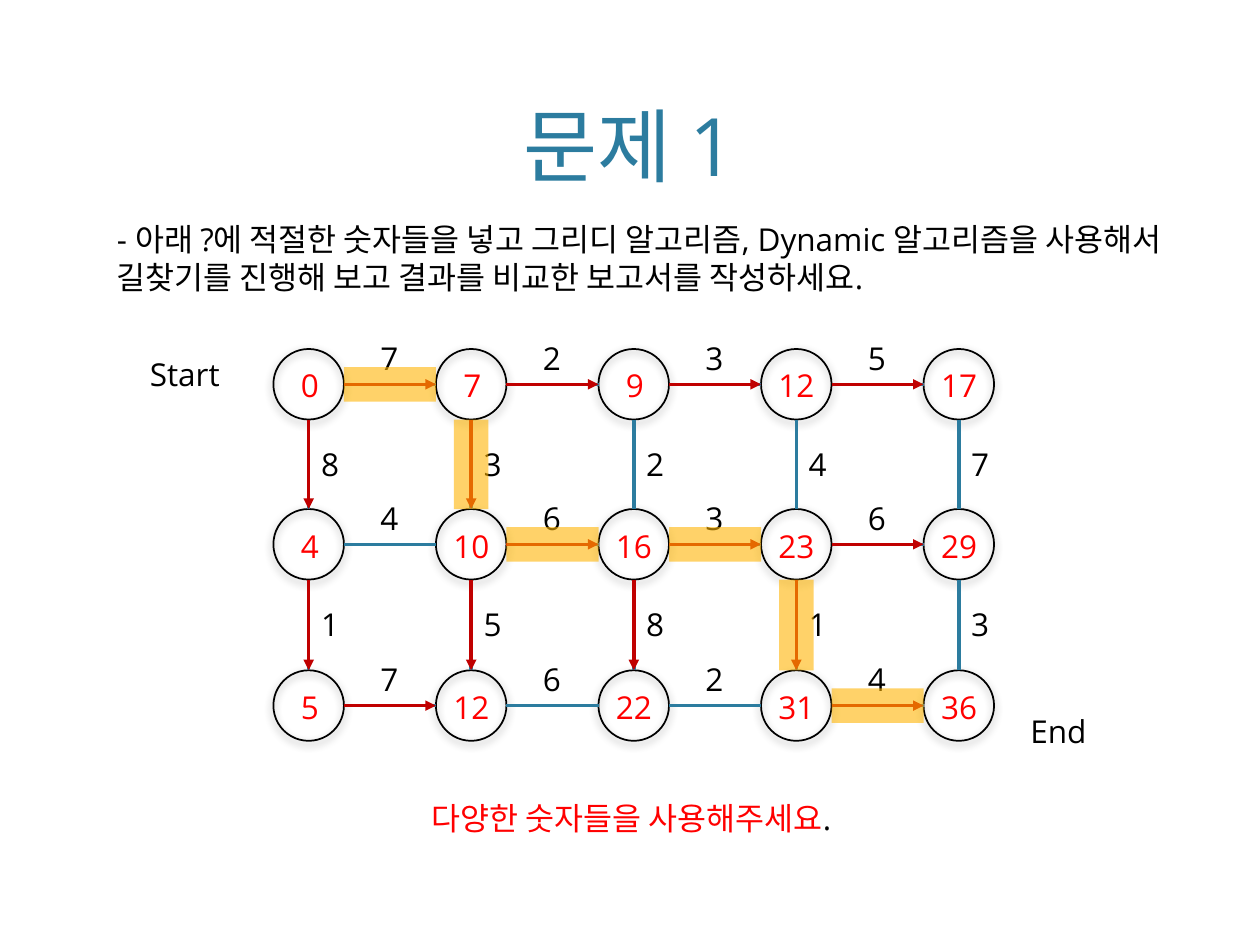
from dataclasses import dataclass
from itertools import product

from lxml.etree import SubElement
from pptx import Presentation
from pptx.dml.color import RGBColor
from pptx.enum.shapes import MSO_CONNECTOR as Connector, MSO_SHAPE as Shape
from pptx.enum.text import MSO_ANCHOR as Anchor, MSO_AUTO_SIZE as AutoSize, PP_ALIGN as Align
from pptx.oxml.ns import qn
from pptx.util import Inches, Pt

LEFT, COLUMN_STEP, DIAMETER = 2.17, 1.29, 0.56
ROW_TOPS = (2.77, 4.04, 5.32)
VALUES = (("0", "7", "9", "12", "17"), ("4", "10", "16", "23", "29"), ("5", "12", "22", "31", "36"))
ACROSS = (
    (("7", "path"), ("2", "visited"), ("3", "visited"), ("5", "visited")),
    (("4", "plain"), ("6", "path"), ("3", "path"), ("6", "visited")),
    (("7", "visited"), ("6", "plain"), ("2", "plain"), ("4", "path")),
)
DOWN = (
    (("8", "visited"), ("3", "path"), ("2", "plain"), ("4", "plain"), ("7", "plain")),
    (("1", "visited"), ("5", "visited"), ("8", "visited"), ("1", "path"), ("3", "plain")),
)


@dataclass(frozen=True)
class Theme:
    """Colours, font and sizes of the slide."""
    font: str = "Open Sans"
    title_size: int = 46
    body_size: int = 18
    text: str = "000000"
    accent: str = "2C7C9F"
    value: str = "FF0000"
    arrow: str = "C00000"
    highlight: str = "FFB400"
    edge_width: float = 2
    highlight_width: float = 19.75


class GraphSlide:
    """Draws styled elements on one slide."""

    def __init__(self, slide, theme):
        self.slide = slide
        self.theme = theme

    def text(self, runs, left, top, width, height=0.4, *, size=None, color=None,
             align=None, anchor=Anchor.TOP, wrap=False, grow=True):
        """Add a text box; runs is a string or (text, color) pairs."""
        box = self.slide.shapes.add_textbox(Inches(left), Inches(top), Inches(width), Inches(height))
        frame = box.text_frame
        frame.word_wrap = wrap
        frame.auto_size = AutoSize.SHAPE_TO_FIT_TEXT if grow else AutoSize.NONE
        frame.vertical_anchor = anchor
        paragraph = frame.paragraphs[0]
        paragraph.alignment = align
        pairs = ((runs, color or self.theme.text),) if isinstance(runs, str) else runs
        for content, run_color in pairs:
            run = paragraph.add_run()
            run.text = content
            run.font.name = self.theme.font
            run.font.size = Pt(size or self.theme.body_size)
            run.font.color.rgb = RGBColor.from_string(run_color)

    def node(self, left, top):
        """Add an outlined circle with a soft shadow."""
        circle = self.slide.shapes.add_shape(
            Shape.OVAL, Inches(left), Inches(top), Inches(DIAMETER), Inches(DIAMETER))
        circle.fill.background()
        circle.line.color.rgb = RGBColor.from_string(self.theme.text)
        circle.line.width = Pt(1)
        circle.shadow.inherit = False
        effects = circle._element.spPr.find(qn("a:effectLst"))
        shadow = SubElement(effects, qn("a:outerShdw"), blurRad=str(Pt(5)), dist=str(Pt(2)),
                            dir="5400000", rotWithShape="0")
        black = SubElement(shadow, qn("a:srgbClr"), val=self.theme.text)
        SubElement(black, qn("a:alpha"), val="40000")

    def line(self, start, end, color, *, width=None, arrow=False, opacity=None):
        """Add a straight line, optionally with an arrowhead or transparency."""
        connector = self.slide.shapes.add_connector(
            Connector.STRAIGHT, *(Inches(value) for value in (*start, *end)))
        connector.line.color.rgb = RGBColor.from_string(color)
        connector.line.width = Pt(width or self.theme.edge_width)
        properties = connector._element.spPr
        outline = properties.find(qn("a:ln"))
        if opacity:
            SubElement(outline.find(".//" + qn("a:srgbClr")), qn("a:alpha"), val=str(opacity * 1000))
        if arrow:
            SubElement(outline, qn("a:tailEnd"), type="triangle")
        SubElement(properties, qn("a:effectLst"))


def column_left(column):
    """Return the left side of a column of nodes."""
    return LEFT + COLUMN_STEP * column


def collect_edges():
    """Return (start, end, label position, weight, state) for every edge."""
    radius = DIAMETER / 2
    edges = []
    for row, cells in enumerate(ACROSS):
        top = ROW_TOPS[row]
        for column, (weight, state) in enumerate(cells):
            left = column_left(column)
            edges.append(((left + DIAMETER, top + radius), (left + COLUMN_STEP, top + radius),
                          (left + 0.75, top - 0.13), weight, state))
    for row, cells in enumerate(DOWN):
        top = ROW_TOPS[row]
        for column, (weight, state) in enumerate(cells):
            center = column_left(column) + radius
            edges.append(((center, top + DIAMETER), (center, ROW_TOPS[row + 1]),
                          (center, top + 0.71), weight, state))
    return edges


def draw_graph(canvas):
    """Draw the nodes, edges, weights, chosen path and node values."""
    theme = canvas.theme
    positions = list(product(range(len(ROW_TOPS)), range(len(VALUES[0]))))
    edges = collect_edges()
    for row, column in positions:
        canvas.node(column_left(column), ROW_TOPS[row])
    for start, end, *_ in edges:
        canvas.line(start, end, theme.accent)
    for *_, label, weight, _ in edges:
        canvas.text(weight, *label, 0.36)
    for start, end, *_, state in edges:
        if state != "plain":
            canvas.line(start, end, theme.arrow, arrow=True)
    for start, end, *_, state in edges:
        if state == "path":
            canvas.line(end, start, theme.highlight, width=theme.highlight_width, opacity=58)
    for row, column in positions:
        value = VALUES[row][column]
        width = 0.36 if len(value) == 1 else 0.52
        left = column_left(column) + (DIAMETER - width) / 2 + 0.02
        canvas.text(value, left, ROW_TOPS[row] + 0.09, width, color=theme.value)


def main():
    """Build and save the slide."""
    presentation = Presentation()
    presentation.slide_width, presentation.slide_height = Inches(10), Inches(7.5)
    theme = Theme()
    canvas = GraphSlide(presentation.slides.add_slide(presentation.slide_layouts[6]), theme)
    canvas.text("문제 1", 0.6, 0.12, 8.8, 1.46, size=theme.title_size, color=theme.accent,
                align=Align.CENTER, anchor=Anchor.BOTTOM, wrap=True, grow=False)
    canvas.text("- 아래 ?에 적절한 숫자들을 넣고 그리디 알고리즘, Dynamic 알고리즘을 "
                "사용해서 길찾기를 진행해 보고 결과를 비교한 보고서를 작성하세요.",
                0.83, 1.7, 8.56, 0.71, wrap=True)
    draw_graph(canvas)
    canvas.text("Start", 1.09, 2.77, 0.81)
    canvas.text("End", 8.08, 5.6, 0.67)
    canvas.text((("다양한 숫자들을 사용해주세요", theme.value), (".", theme.text)), 3.33, 6.29, 3.72)
    presentation.save("out.pptx")


if __name__ == "__main__":
    main()
